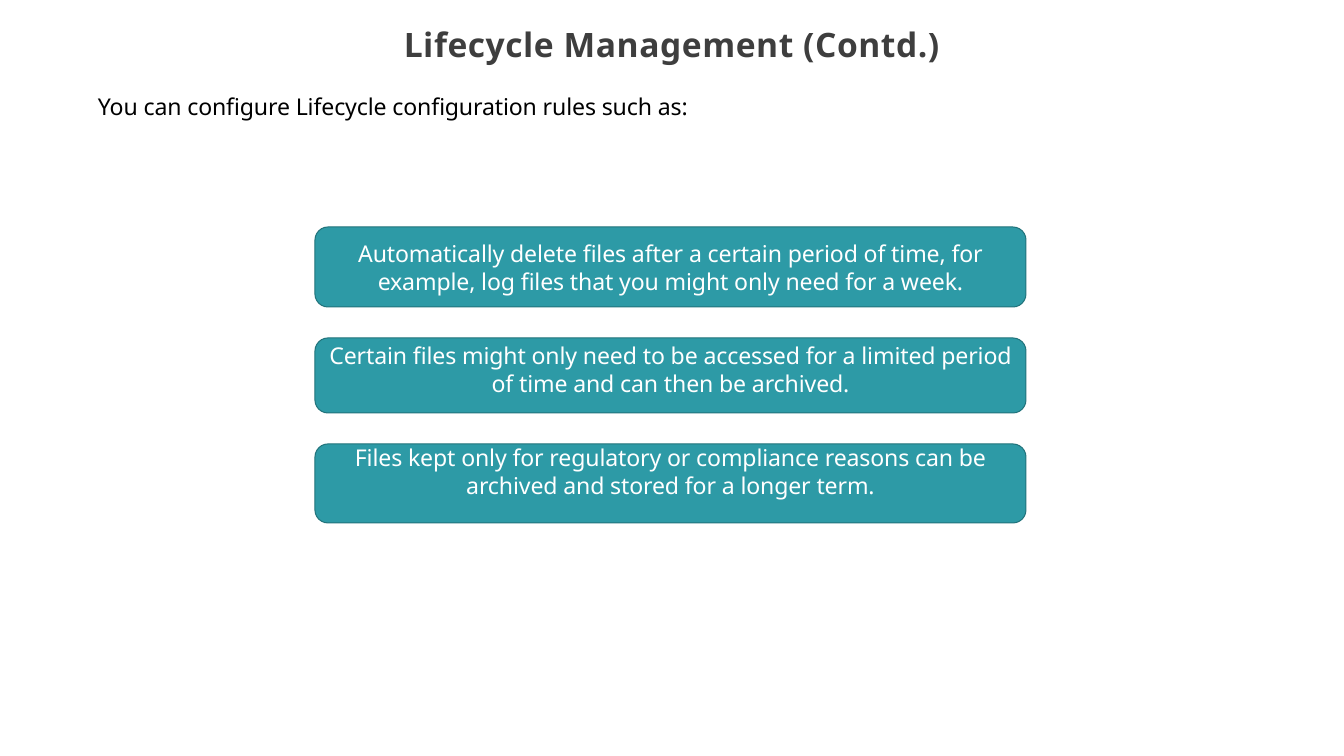
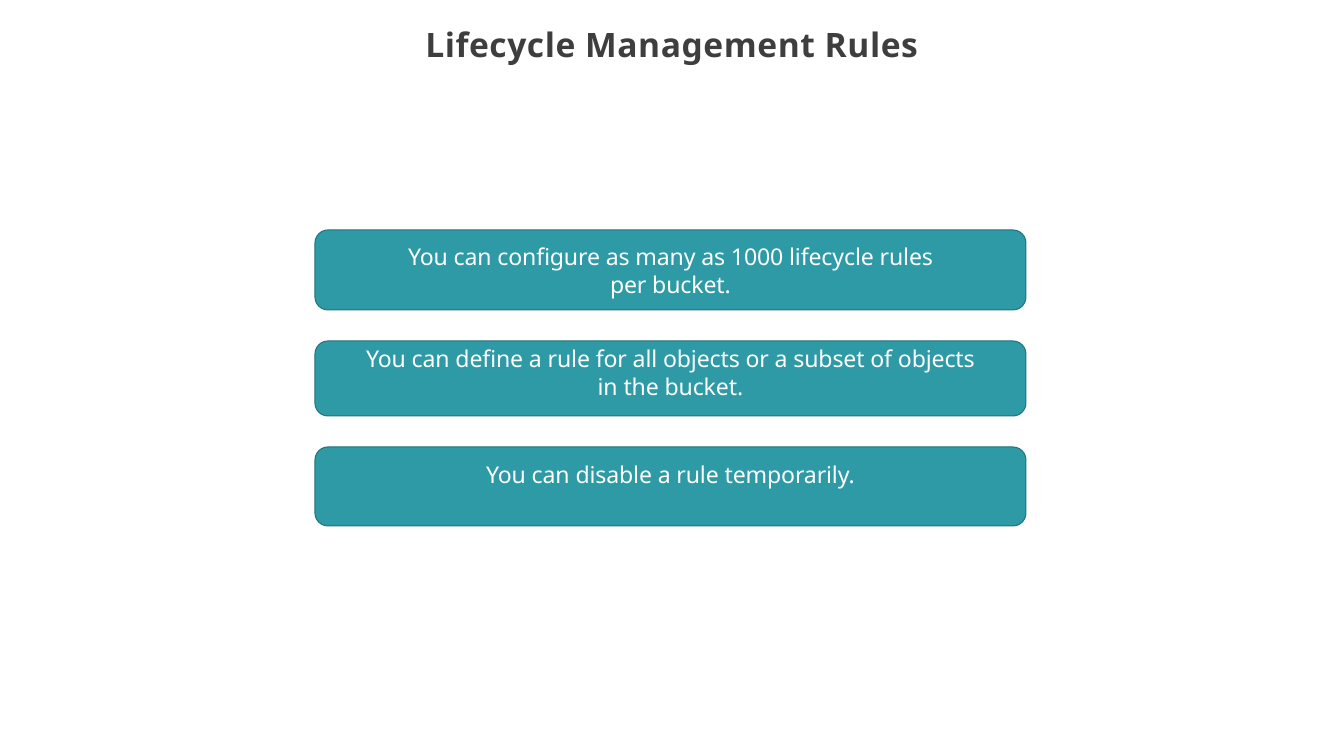
"""Build two slides on lifecycle management rules."""
from pptx import Presentation
from pptx.dml.color import RGBColor
from pptx.enum.shapes import MSO_SHAPE
from pptx.enum.text import MSO_ANCHOR, MSO_AUTO_SIZE, PP_ALIGN
from pptx.util import Pt

PX = 12095
PAGE_WIDTH, PAGE_HEIGHT = 1344, 756
THEME = {
    "card_fill": RGBColor(0x2D, 0x9A, 0xA6),
    "card_line": RGBColor(0x21, 0x73, 0x7B),
    "title": {"name": "Noto Sans", "size": Pt(32), "bold": True,
              "color": RGBColor(0x3E, 0x3E, 0x3E), "tracking": 50},
    "intro": {"name": "Noto Sans", "size": Pt(22), "bold": False,
              "color": RGBColor(0, 0, 0), "tracking": -10},
    "card": {"name": "Noto Sans", "size": Pt(22), "bold": False,
             "color": RGBColor(255, 255, 255), "tracking": -10},
}
CARD_LEFT, CARD_WIDTH, CARD_GAP, CARD_RADIUS = 315, 711, 31, 13
CARD_HEIGHTS = (80, 75, 79)
TEXT_LIFTS = (0, 12, 24)
SLIDES = [
    {
        "title": "Lifecycle Management (Contd.)",
        "title_width": 540,
        "intro": "You can configure Lifecycle configuration rules such as:",
        "top": 227,
        "cards": [
            "Automatically delete files after a certain period of time, for\v"
            "example, log files that you might only need for a week.",
            "Certain files might only need to be accessed for a limited period\v"
            "of time and can then be archived.",
            "Files kept only for regulatory or compliance reasons can be\v"
            "archived and stored for a longer term.",
        ],
    },
    {
        "title": "Lifecycle Management Rules",
        "title_width": 498,
        "intro": None,
        "top": 230,
        "cards": [
            "You can configure as many as 1000 lifecycle rules\vper bucket.",
            "You can define a rule for all objects or a subset of objects\v"
            "in the bucket.",
            "You can disable a rule temporarily.",
        ],
    },
]


def place(box, left, top, width, height):
    for name, value in zip(("left", "top", "width", "height"), (left, top, width, height)):
        setattr(box, name, value * PX)


def write(box, text, style, align, lift=0, wrap=True):
    frame = box.text_frame
    frame.text = text
    layout = {"word_wrap": wrap, "auto_size": MSO_AUTO_SIZE.NONE,
              "vertical_anchor": MSO_ANCHOR.MIDDLE, "margin_left": 0,
              "margin_right": 0, "margin_top": 0, "margin_bottom": lift * PX}
    for name, value in layout.items():
        setattr(frame, name, value)
    para = frame.paragraphs[0]
    para.alignment = align
    para.space_before = Pt(0)
    para.line_spacing = Pt(round(style["size"].pt * 1.2, 1))
    for span in para.runs:
        for name in ("name", "size", "bold"):
            setattr(span.font, name, style[name])
        span.font.color.rgb = style["color"]
        span.font._element.set("spc", str(style["tracking"]))


deck = Presentation()
deck.slide_width = PAGE_WIDTH * PX
deck.slide_height = PAGE_HEIGHT * PX

for content in SLIDES:
    page = deck.slides.add_slide(deck.slide_layouts[5])
    title = page.shapes.title
    title_width = content["title_width"]
    place(title, (PAGE_WIDTH - title_width) // 2, 23, title_width, 42)
    write(title, content["title"], THEME["title"], PP_ALIGN.CENTER, wrap=False)

    top = content["top"]
    for text, height, lift in zip(content["cards"], CARD_HEIGHTS, TEXT_LIFTS):
        card = page.shapes.add_shape(MSO_SHAPE.ROUNDED_RECTANGLE, 0, 0, PX, PX)
        place(card, CARD_LEFT, top, CARD_WIDTH, height)
        card.adjustments[0] = CARD_RADIUS / height
        card.shadow.inherit = False
        card.fill.solid()
        card.fill.fore_color.rgb = THEME["card_fill"]
        card.line.color.rgb = THEME["card_line"]
        card.line.width = Pt(0.96)
        write(card, text, THEME["card"], PP_ALIGN.CENTER, lift)
        top += height + CARD_GAP

    if content["intro"]:
        intro = page.shapes.add_textbox(0, 0, PX, PX)
        place(intro, 98, 91, 595, 30)
        write(intro, content["intro"], THEME["intro"], PP_ALIGN.LEFT, wrap=False)

deck.save("out.pptx")
